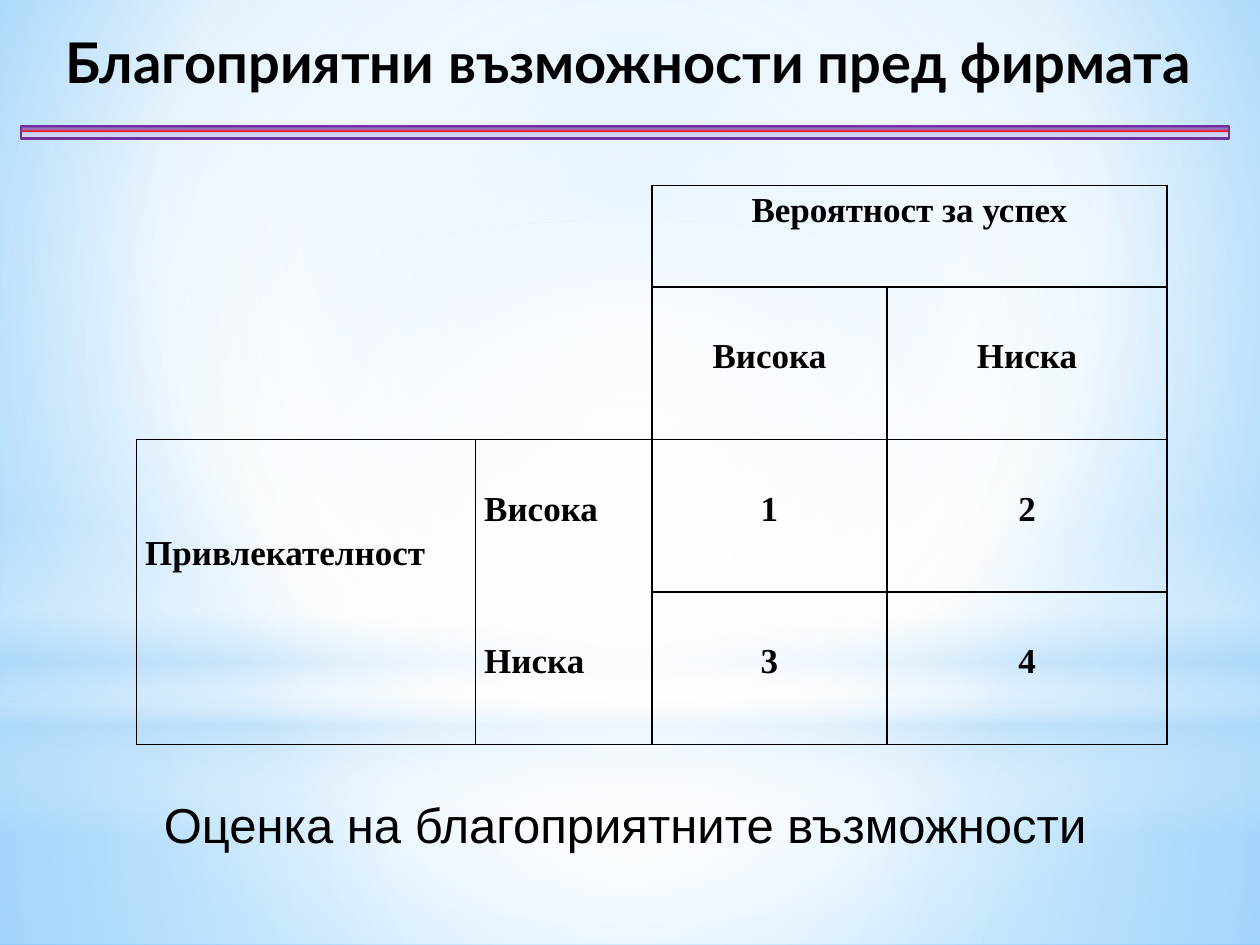
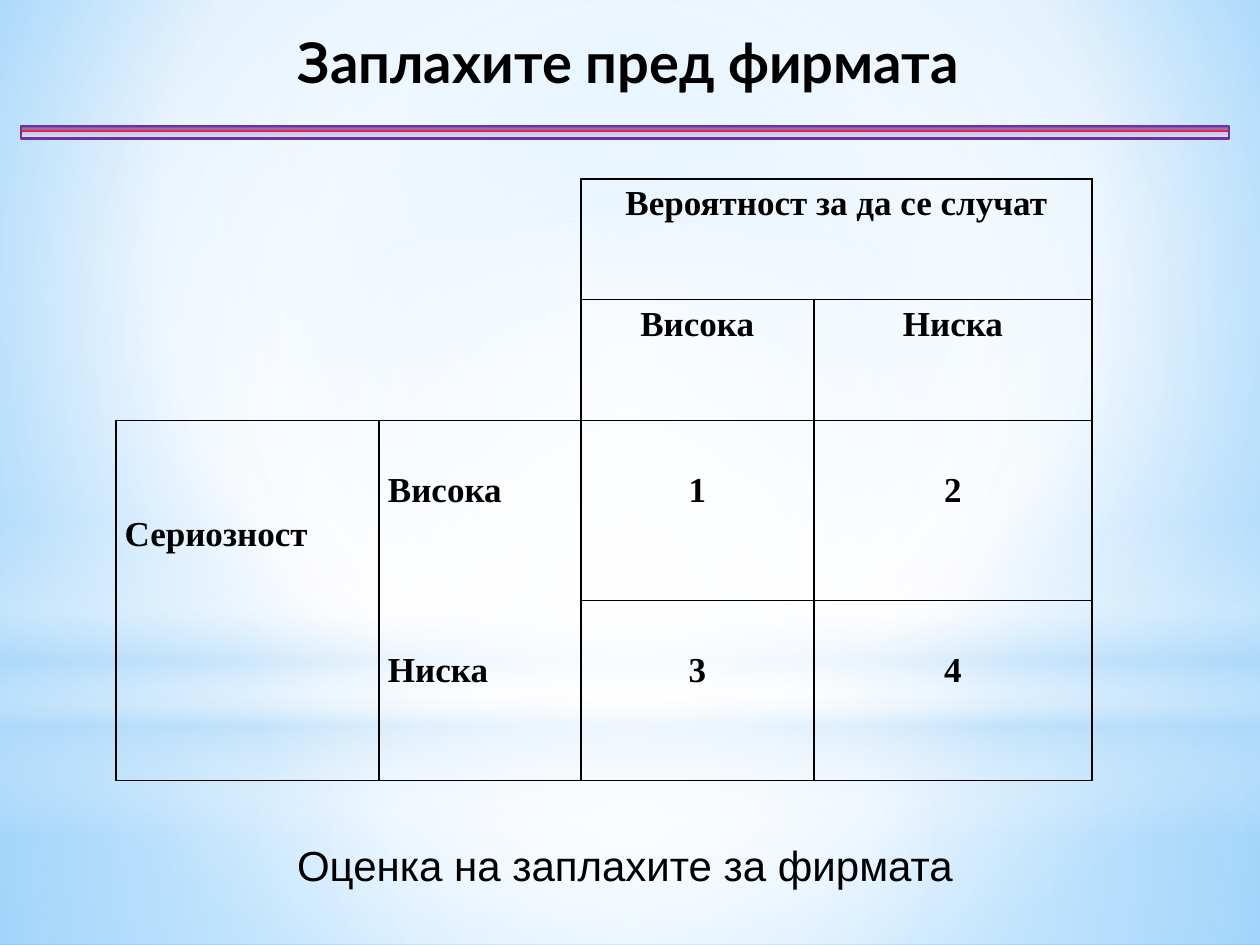
from lxml import etree
from pptx import Presentation
from pptx.dml.color import RGBColor
from pptx.enum.shapes import MSO_SHAPE
from pptx.enum.text import MSO_ANCHOR, MSO_AUTO_SIZE, PP_ALIGN
from pptx.oxml.ns import qn
from pptx.util import Pt

RECTANGLE, OVAL = MSO_SHAPE.RECTANGLE, MSO_SHAPE.OVAL
TOP, BOTTOM = MSO_ANCHOR.TOP, MSO_ANCHOR.BOTTOM
CENTER, JUSTIFY = PP_ALIGN.CENTER, PP_ALIGN.JUSTIFY
NO_AUTOFIT = MSO_AUTO_SIZE.NONE

# Shared look
WIDTH, HEIGHT = 720, 540
BLACK, WHITE, SKY, PURPLE = "000000", "FFFFFF", "B4DCFA", "7030A0"
TITLE_BOX = (12.2, 12.2, 694, 46)
BAR_BOX = (12.2, 72, 690, 7.2)
TITLE_FONT = {"name": "Lato", "size": Pt(32), "bold": True}
TABLE_FONT = {"name": "Times New Roman", "size": Pt(20), "bold": True}
LINE = 25.5  # height of one table text line
CENTRED = (50, 50, 50, 50)

# Gradient stops: position, colour, opacity (percent)
BACKGROUND_STOPS = [(0, "9ED5FF", 100), (60, WHITE, 100), (100, "5BB9FF", 100)]
BAR_STOPS = [(0, PURPLE, 100), (25, "987CC9", 100), (43, "FF0000", 100),
             (50, "C1C7F2", 100), (100, "E1E3F8", 100)]
SCENERY = [
    (RECTANGLE, (0, 402, WIDTH, 138),
     [(0, WHITE, 91), (37, WHITE, 76), (100, SKY, 79)], CENTRED),
    (RECTANGLE, (0, 0, WIDTH, 402),
     [(0, WHITE, 89), (48, WHITE, 62), (100, SKY, 79)], CENTRED),
    (RECTANGLE, (0, 297, WIDTH, 180),
     [(0, WHITE, 0), (29, WHITE, 30), (45, SKY, 40), (55, WHITE, 26),
      (65, SKY, 60), (100, WHITE, 0)], None),
    (OVAL, (0, 126, WIDTH, 402), [(0, WHITE, 100), (56, WHITE, 0)], CENTRED),
]

SLIDES = [
    {
        "title": "Благоприятни възможности пред фирмата",
        "table": {
            "origin": (78, 106),
            "columns": (193.7, 100.8, 134.4, 160),
            "rows": (58, 87.2, 87.2, 87.2),
            "across": "Вероятност за успех",
            "down": "Привлекателност",
            "level_lines": 1,
        },
        "caption": ("Оценка на благоприятните възможности", 28,
                    (12.2, 450, 690, 41)),
    },
    {
        "title": "Заплахите пред фирмата",
        "table": {
            "origin": (66.2, 102.2),
            "columns": (150.5, 115.2, 133.2, 159),
            "rows": (69, 69, 103, 103),
            "across": "Вероятност за да се случат",
            "down": "Сериозност",
            "level_lines": 0,
        },
        "caption": ("Оценка на заплахите за фирмата", 24,
                    (12.2, 460.8, 690, 51)),
    },
]


def color(hex_value):
    return RGBColor.from_string(hex_value)


def points(box):
    return [Pt(value) for value in box]


def add_element(parent, tag, **attributes):
    element = etree.SubElement(parent, qn(tag))
    for name, value in attributes.items():
        element.set(name, str(value))
    return element


def set_gradient(fill, owner, stops, focus=None):
    """Radial fill around the focus rectangle, or top to bottom without one."""
    fill.solid()
    fill.fore_color.rgb = color(WHITE)
    solid = owner.find(qn("a:solidFill"))
    gradient = etree.Element(qn("a:gradFill"), rotWithShape="1")
    stop_list = add_element(gradient, "a:gsLst")
    for position, hex_value, opacity in stops:
        stop = add_element(stop_list, "a:gs", pos=position * 1000)
        stop_color = add_element(stop, "a:srgbClr", val=color(hex_value))
        if opacity < 100:
            add_element(stop_color, "a:alpha", val=opacity * 1000)
    if focus:
        radial = add_element(gradient, "a:path", path="circle")
        edges = {side: edge * 1000 for side, edge in zip("ltrb", focus)}
        add_element(radial, "a:fillToRect", **edges)
    else:
        add_element(gradient, "a:lin", ang=90 * 60000, scaled=0)
    owner.replace(solid, gradient)


def add_gradient_shape(slide, kind, box, stops, focus=None):
    shape = slide.shapes.add_shape(kind, *points(box))
    shape.shadow.inherit = False
    shape.line.fill.background()
    set_gradient(shape.fill, shape.element.spPr, stops, focus)
    return shape


def write(text_frame, text, alignment, font, hex_value=BLACK):
    paragraph = text_frame.paragraphs[0]
    paragraph.alignment = alignment
    run = paragraph.add_run()
    run.text = text
    run.font.color.rgb = color(hex_value)
    for name, value in font.items():
        setattr(run.font, name, value)
    return paragraph


def move_scenery_to_layout(slide, layout):
    """Draws the sky scenery and puts it behind the layout's placeholders."""
    fill = layout.background.fill
    fill.solid()
    owner = layout.element.find(".//" + qn("p:bgPr"))
    set_gradient(fill, owner, BACKGROUND_STOPS, (20, 10, 20, 60))
    for index, (kind, box, stops, focus) in enumerate(SCENERY):
        shape = add_gradient_shape(slide, kind, box, stops, focus)
        shape.element.nvSpPr.cNvPr.set("id", str(20 + index))
        layout.shapes.element.insert(2 + index, shape.element)


def add_header(slide, text):
    # Striped bar
    bar = add_gradient_shape(slide, RECTANGLE, BAR_BOX, BAR_STOPS)
    bar.line.color.rgb = color(PURPLE)
    bar.line.width = Pt(1.25)
    # Title
    title = slide.shapes.title
    title.left, title.top, title.width, title.height = points(TITLE_BOX)
    frame = title.text_frame
    frame.auto_size = NO_AUTOFIT
    frame.vertical_anchor = TOP
    write(frame, text, CENTER, TITLE_FONT)


def cell_borders(row, column):
    """Sides of a cell that carry a line, as letters L, R, T and B."""
    if column >= 2:
        return "LRTB"
    if row < 2:
        return ("R" if column == 1 else "") + ("B" if row == 1 else "")
    return "LR" + ("T" if row == 2 else "B")


def format_cell(cell, sides):
    cell.fill.background()
    cell.margin_left = cell.margin_right = Pt(5)
    cell.margin_top = cell.margin_bottom = 0
    properties = cell._tc.get_or_add_tcPr()
    for index, side in enumerate("LRTB"):
        line = etree.Element(qn("a:ln" + side), w=str(Pt(1)))
        if side in sides:
            fill = add_element(line, "a:solidFill")
            add_element(fill, "a:srgbClr", val=color(BLACK))
        else:
            add_element(line, "a:noFill")
        properties.insert(index, line)


def add_matrix(slide, origin, columns, rows, across, down, level_lines):
    box = (*origin, sum(columns), sum(rows))
    frame = slide.shapes.add_table(len(rows), len(columns), *points(box))
    table = frame.table
    table.first_row = table.horz_banding = False
    for column, width in zip(table.columns, columns):
        column.width = Pt(width)
    for row, height in zip(table.rows, rows):
        row.height = Pt(height)
    for row in range(len(rows)):
        for column in range(len(columns)):
            format_cell(table.cell(row, column), cell_borders(row, column))
    table.cell(0, 2).merge(table.cell(0, 3))

    # Text of each cell, with the lines left free above it
    entries = {(0, 2): (across, 0), (2, 0): (down, 2)}
    for index, level in enumerate(("Висока", "Ниска")):
        entries[1, 2 + index] = (level, level_lines)
        entries[2 + index, 1] = (level, 1)
        for column in range(2):
            entries[2 + index, 2 + column] = (str(2 * index + column + 1), 1)
    for (row, column), (text, lines_above) in entries.items():
        cell = table.cell(row, column)
        cell.margin_top = Pt(lines_above * LINE)
        alignment = CENTER if column >= 2 else JUSTIFY
        paragraph = write(cell.text_frame, text, alignment, TABLE_FONT)
        paragraph.line_spacing = 1.15


def add_caption(slide, text, size, box):
    frame = slide.shapes.add_textbox(*points(box)).text_frame
    frame.word_wrap = True
    frame.vertical_anchor = BOTTOM
    write(frame, text, CENTER, {"name": "Arial", "size": Pt(size)})


def main():
    presentation = Presentation()
    presentation.slide_width, presentation.slide_height = Pt(WIDTH), Pt(HEIGHT)
    layout = presentation.slide_layouts.get_by_name("Title Only")
    for index, content in enumerate(SLIDES):
        slide = presentation.slides.add_slide(layout)
        if index == 0:
            move_scenery_to_layout(slide, layout)
        add_header(slide, content["title"])
        add_matrix(slide, **content["table"])
        add_caption(slide, *content["caption"])
    presentation.save("out.pptx")


if __name__ == "__main__":
    main()
